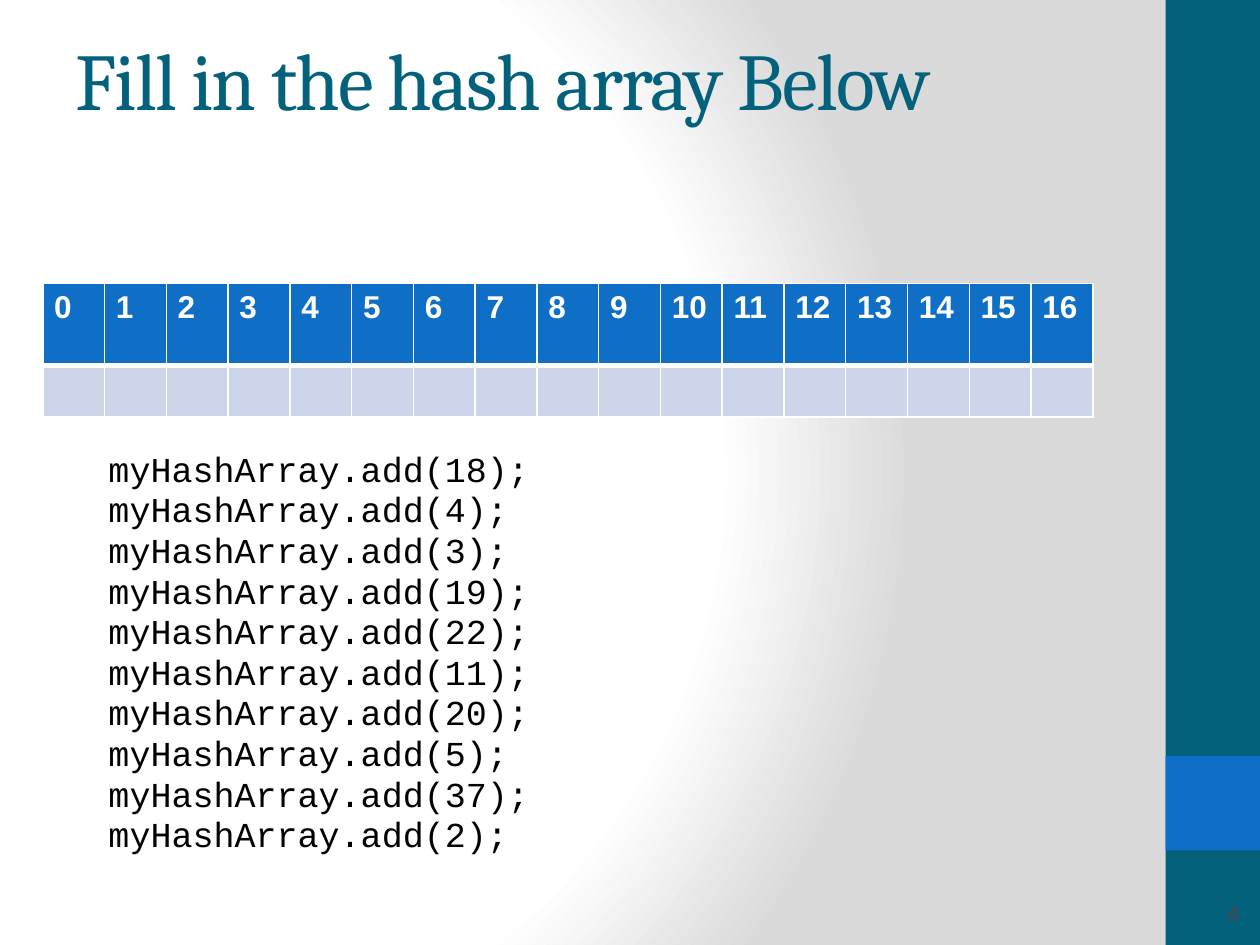
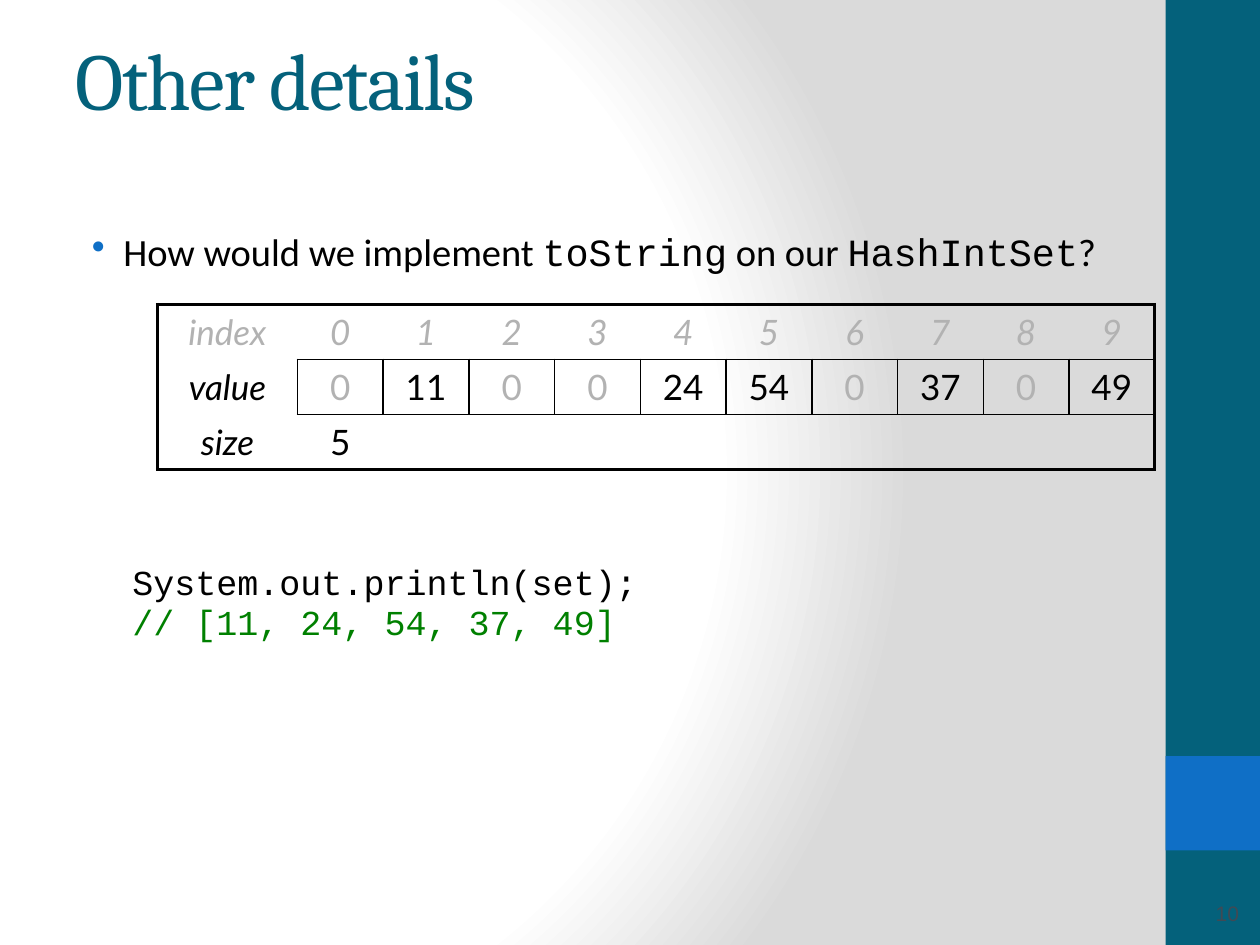
"""Build two slides about hash arrays, with a shared backdrop and title style."""
from pptx import Presentation
from pptx.dml.color import RGBColor
from pptx.enum.shapes import MSO_SHAPE as Shape
from pptx.enum.text import MSO_ANCHOR as Anchor, PP_ALIGN as Align
from pptx.oxml import parse_xml
from pptx.oxml.ns import nsdecls, qn
from pptx.util import Pt

TEAL, BLUE, PALE = "04617B", "0F6FC6", "CCD5EA"
BLACK, WHITE, GREY, GREEN = "000000", "FFFFFF", "B2B2B2", "008000"
DARK, SHADE = "404A55", "DADADA"
MONO, SANS = "Courier New", "Calibri"
PLAIN = "{2D5ABB26-0587-4C30-8999-92F81FD0307C}"
ADDED = [18, 4, 3, 19, 22, 11, 20, 5, 37, 2]
VALUES = [0, 11, 0, 0, 24, 54, 0, 37, 0, 49]


def rgb(code):
    """Turn a hex string into a colour."""
    return RGBColor.from_string(code)


def style(font, name, size, color, bold=False, italic=False):
    """Set the look of a paragraph's or run's font."""
    font.name, font.size = name, Pt(size)
    font.color.rgb = rgb(color)
    font.bold, font.italic = bold, italic


def add_box(slide, left, top, width, height):
    """Add a wrapping text box without insets and return its frame."""
    frame = slide.shapes.add_textbox(Pt(left), Pt(top), Pt(width), Pt(height)).text_frame
    frame.word_wrap = True
    frame.margin_left = frame.margin_right = frame.margin_top = frame.margin_bottom = 0
    return frame


def add_band(slide, top, height, color):
    """Add one block of the band at the right edge."""
    band = slide.shapes.add_shape(Shape.RECTANGLE, Pt(666), Pt(top), Pt(54), Pt(height))
    band.shadow.inherit = False
    band.fill.solid()
    band.fill.fore_color.rgb = rgb(color)
    band.line.fill.background()


def shade(slide):
    """Give the slide its round white-to-grey gradient."""
    slide.background.fill.solid()
    stops = "".join(
        f'<a:gs pos="{pos}000"><a:srgbClr val="{color}"/></a:gs>'
        for pos, color in [(0, WHITE), (75, WHITE), (100, SHADE)])
    grad = parse_xml(
        f'<a:gradFill {nsdecls("a")} rotWithShape="1"><a:gsLst>{stops}</a:gsLst>'
        '<a:path path="circle"><a:fillToRect l="20000" t="50000" r="100000" b="50000"/>'
        '</a:path></a:gradFill>')
    props = next(slide.element.iter(qn("p:bgPr")))
    props.replace(props[0], grad)


def add_slide(deck, title, number, bold=False):
    """Add a slide with backdrop, bands, title and number."""
    slide = deck.slides.add_slide(deck.slide_layouts[6])
    shade(slide)
    add_band(slide, 0, 540, TEAL)
    add_band(slide, 432, 54, BLUE)
    frame = add_box(slide, 43.2, 0, 585.6, 90)
    frame.vertical_anchor = Anchor.MIDDLE
    para = frame.paragraphs[0]
    run = para.add_run()
    run.text = title
    style(para.font, "Cambria", 46, TEAL)
    run.font.size = Pt(46)
    run.font.name = "Cambria"
    run.font.color.rgb = rgb(TEAL)
    run.font._element.set("spc", "-100")
    frame = add_box(slide, 668, 512, 40, 20)
    frame.vertical_anchor = Anchor.MIDDLE
    para = frame.paragraphs[0]
    para.text, para.alignment = str(number), Align.RIGHT
    style(para.font, "Arial", 12, DARK, bold)
    return slide


def add_code(slide, left, top, lines):
    """Add lines of code, with comments in green."""
    frame = add_box(slide, left, top, 480, 23.2 * len(lines))
    for i, line in enumerate(lines):
        para = frame.add_paragraph() if i else frame.paragraphs[0]
        para.text, para.line_spacing = line, Pt(23.2)
        style(para.font, MONO, 20, GREEN if line.startswith("//") else BLACK)


def add_bullet(slide, left, top, parts):
    """Add a bulleted line from pairs of text and font name."""
    para = add_box(slide, left, top, 600, 28).paragraphs[0]
    for text, name in parts:
        run = para.add_run()
        run.text = text
        style(run.font, name, 22, BLACK)
    props = para._p.get_or_add_pPr()
    props.set("marL", str(Pt(18)))
    props.set("indent", str(-Pt(18)))
    props.append(parse_xml(
        f'<a:buClr {nsdecls("a")}><a:srgbClr val="{BLUE}"/></a:buClr>'))
    props.append(parse_xml(f'<a:buChar {nsdecls("a")} char="•"/>'))


def add_grid(slide, left, top, widths, heights):
    """Add an unstyled table with the given columns and rows."""
    shape = slide.shapes.add_table(
        len(heights), len(widths), Pt(left), Pt(top), Pt(sum(widths)), Pt(sum(heights)))
    next(shape.element.iter(qn("a:tableStyleId"))).text = PLAIN
    grid = shape.table
    for col, width in zip(grid.columns, widths):
        col.width = Pt(width)
    for row, height in zip(grid.rows, heights):
        row.height = Pt(height)
    return grid


def edge(cell, color, **sides):
    """Draw cell borders, given as widths for the sides L, R, T and B."""
    props = cell._tc.get_or_add_tcPr()
    for side in "LRTB":
        if sides.get(side):
            props.append(parse_xml(
                f'<a:ln{side} {nsdecls("a")} w="{Pt(sides[side])}"><a:solidFill>'
                f'<a:srgbClr val="{color}"/></a:solidFill></a:ln{side}>'))


def write(cell, text, align, *look, **more):
    """Put one styled paragraph in a cell."""
    para = cell.text_frame.paragraphs[0]
    para.text, para.alignment = str(text), align
    style(para.font, *look, **more)


def add_slots(slide, count):
    """Add the numbered hash array with its empty slots."""
    grid = add_grid(slide, 24.5, 162, [600 / count] * count, [46.8, 29.6])
    for i in range(count):
        head, slot = grid.cell(0, i), grid.cell(1, i)
        edge(head, WHITE, L=1, R=1, T=1, B=3)
        edge(slot, WHITE, L=1, R=1, T=3, B=1)
        for cell, color in [(head, BLUE), (slot, PALE)]:
            cell.margin_left = cell.margin_right = Pt(6.5)
            cell.fill.solid()
            cell.fill.fore_color.rgb = rgb(color)
        write(head, i, Align.LEFT, "Arial", 18, WHITE, bold=True)


def add_state(slide, values):
    """Add the framed table of index, value and size."""
    count = len(values)
    rows = [["index", *range(count)], ["value", *values],
            ["size", sum(value != 0 for value in values)]]
    grid = add_grid(slide, 90, 174, [80] + [49] * count, [31.4] * 3)
    for r, row in enumerate(rows):
        for c in range(count + 1):
            cell = grid.cell(r, c)
            edge(cell, BLACK,
                 L=2.25 if c == 0 else r == 1,
                 R=2.25 if c == count else r == 1,
                 T=2.25 if r == 0 else c > 0,
                 B=2.25 if r == 2 else c > 0)
            if c < len(row):
                faint = r == 0 or row[c] == 0
                write(cell, row[c], Align.CENTER, "Lato", 20,
                      GREY if faint else BLACK, italic=r == 0 or c == 0)


def main():
    """Build and save both slides."""
    deck = Presentation()
    deck.slide_width, deck.slide_height = Pt(720), Pt(540)

    slide = add_slide(deck, "Fill in the hash array Below", 4, bold=True)
    add_slots(slide, 17)
    add_code(slide, 62, 256.5, [f"myHashArray.add({n});" for n in ADDED])

    slide = add_slide(deck, "Other details", 10)
    add_bullet(slide, 52.5, 130.5, [
        ("How would we implement ", SANS), ("toString", MONO),
        (" on our ", SANS), ("HashIntSet", MONO), ("?", SANS)])
    add_state(slide, VALUES)
    found = ", ".join(str(value) for value in VALUES if value)
    add_code(slide, 75.6, 321, ["System.out.println(set);", f"// [{found}]"])

    deck.save("out.pptx")


if __name__ == "__main__":
    main()
